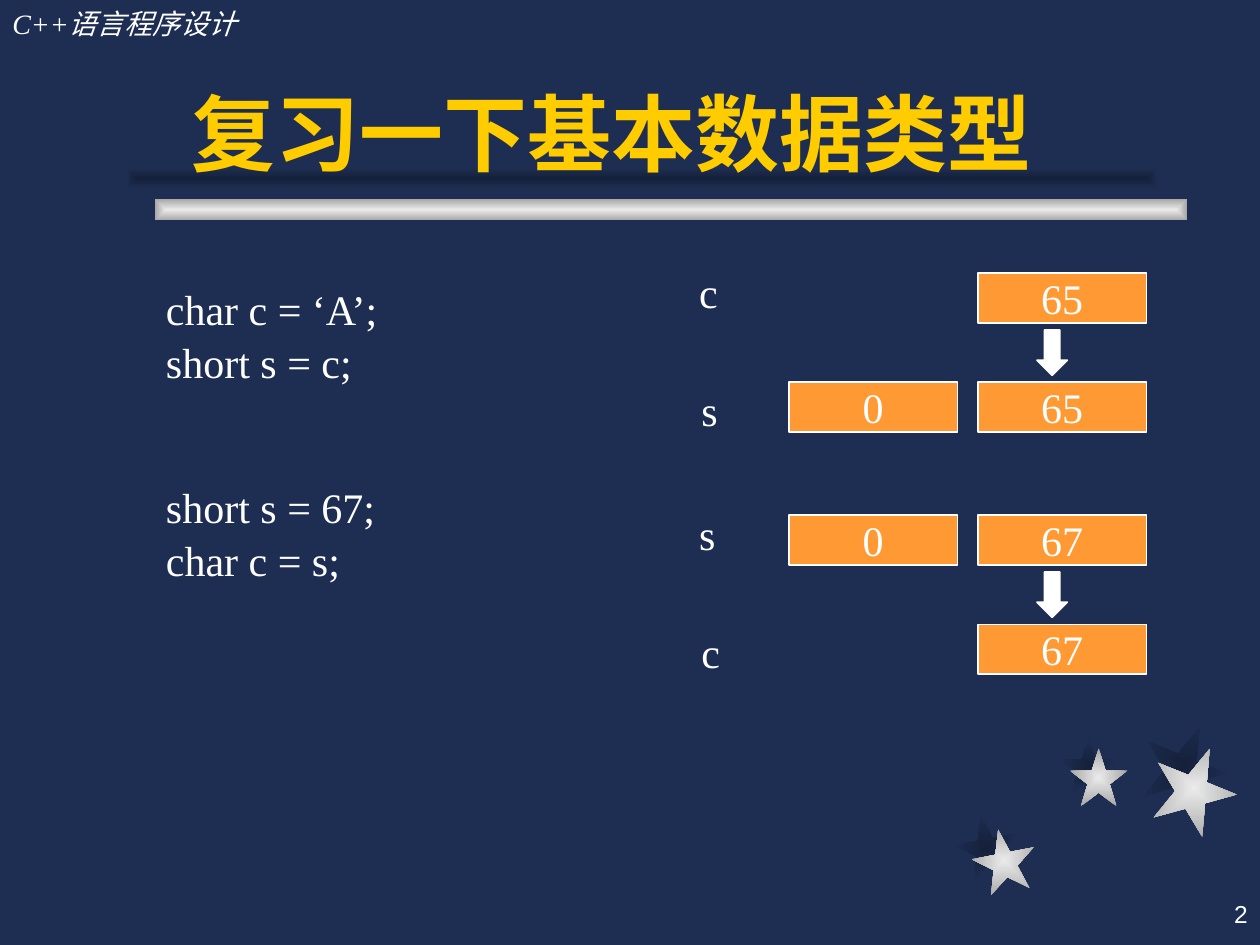
from dataclasses import dataclass

from pptx import Presentation
from pptx.dml.color import RGBColor
from pptx.enum import shapes, text
from pptx.oxml import parse_xml
from pptx.util import Pt

COLORS = {"background": "1E2E53", "shade": "15213B", "silver": "A7A7A7",
          "shine": "EAEAEA", "title": "FFCC00", "byte": "FF9933", "white": "FFFFFF"}
SERIF, SANS = "Times New Roman", "Arial"
BYTE_W, BYTE_H = 96.5, 28.2
HIGH_X, LOW_X = 450.7, 558.7
NS = "http://schemas.openxmlformats.org/drawingml/2006/main"
SHAPE = shapes.MSO_SHAPE


@dataclass
class Star:
    left: float
    top: float
    size: float
    turn: float
    shadow_left: float
    shadow_top: float


@dataclass
class Variable:
    name: str
    values: list[str]  # low byte last


@dataclass
class Example:
    top: float
    code_top: float
    code: list[str]
    source: Variable
    target: Variable


STARS = [Star(555.8, 473.8, 36, 349, 545.8, 465.8),
         Star(611.3, 427.7, 33.1, 0, 605.5, 421.2),
         Star(658.1, 426.2, 48.2, 22, 652.3, 414)]

EXAMPLES = [
    Example(156.2, 157, ["char c = ‘A’;", "short s = c;"],
            Variable("c", ["65"]), Variable("s", ["0", "65"])),
    Example(294.5, 270, ["short s = 67;", "char c = s;"],
            Variable("s", ["0", "67"]), Variable("c", ["67"])),
]


def rgb(name: str) -> RGBColor:
    return RGBColor.from_string(COLORS[name])


def add_run(paragraph, words: str, size: float, font: str = SERIF,
            color: str = "white", bold: bool = False, italic: bool = False) -> None:
    run = paragraph.add_run()
    run.text = words
    run.font.size, run.font.name = Pt(size), font
    run.font.bold, run.font.italic = bold, italic
    run.font.color.rgb = rgb(color)


def add_text(slide, left: float, top: float, width: float, height: float,
             lines: list[str], size: float = 24, spacing: float = 1.05, **style):
    frame = slide.shapes.add_textbox(Pt(left), Pt(top), Pt(width), Pt(height)).text_frame
    frame.word_wrap = True
    for number, line in enumerate(lines):
        paragraph = frame.add_paragraph() if number else frame.paragraphs[0]
        paragraph.line_spacing = spacing
        add_run(paragraph, line, size, **style)
    return frame


def add_gradient(slide, kind, left: float, top: float, width: float, height: float,
                 center: str, edge: str, turn: float = 0) -> None:
    """Add a lineless shape shaded from its center out to its edge."""
    shape = slide.shapes.add_shape(kind, Pt(left), Pt(top), Pt(width), Pt(height))
    shape.shadow.inherit = False
    shape.rotation = turn
    shape.line.fill.background()
    shape.fill.background()
    properties = shape._element.spPr
    properties.replace(properties.find(f"{{{NS}}}noFill"), parse_xml(
        f'<a:gradFill xmlns:a="{NS}" rotWithShape="1"><a:gsLst>'
        f'<a:gs pos="0"><a:srgbClr val="{COLORS[center]}"/></a:gs>'
        f'<a:gs pos="100000"><a:srgbClr val="{COLORS[edge]}"/></a:gs></a:gsLst>'
        '<a:path path="shape"><a:fillToRect l="50000" t="50000" r="50000" b="50000"/>'
        '</a:path></a:gradFill>'))


def add_solid(slide, kind, left: float, top: float, width: float, height: float, fill: str):
    shape = slide.shapes.add_shape(kind, Pt(left), Pt(top), Pt(width), Pt(height))
    shape.shadow.inherit = False
    shape.fill.solid()
    shape.fill.fore_color.rgb = rgb(fill)
    shape.line.color.rgb = rgb("white")
    shape.line.width = Pt(1)
    return shape


def add_variable(slide, variable: Variable, top: float, label_left: float,
                 label_top: float) -> None:
    add_text(slide, label_left, label_top, 28, 36, [variable.name])
    for left, value in zip((LOW_X, HIGH_X), reversed(variable.values)):
        byte = add_solid(slide, SHAPE.RECTANGLE, left, top, BYTE_W, BYTE_H, "byte")
        frame = byte.text_frame
        frame.vertical_anchor = text.MSO_ANCHOR.MIDDLE
        frame.paragraphs[0].alignment = text.PP_ALIGN.CENTER
        add_run(frame.paragraphs[0], value, 24)


def add_example(slide, example: Example) -> None:
    top = example.top
    add_text(slide, 87.8, example.code_top, 153.4, 65.5, example.code)
    add_variable(slide, example.source, top, 392.4, top - 9)
    add_variable(slide, example.target, top + 62.3, 393.8, top + 58.4)
    add_solid(slide, SHAPE.DOWN_ARROW, 592.6, top + 32.4, 17.3, 25.9, "white")


def add_decoration(slide) -> None:
    for star in STARS:
        add_gradient(slide, SHAPE.STAR_5_POINT, star.shadow_left, star.shadow_top,
                     star.size, star.size, "shade", "background", star.turn)
    for star in STARS:
        add_gradient(slide, SHAPE.STAR_5_POINT, star.left, star.top,
                     star.size, star.size, "shine", "silver", star.turn)
    add_gradient(slide, SHAPE.RECTANGLE, 88.6, 113.8, 589.7, 12.2, "shine", "silver")
    add_gradient(slide, SHAPE.RECTANGLE, 72, 95.8, 589.7, 12.2, "shade", "background")


def add_title(slide) -> None:
    title = slide.shapes.title
    title.left, title.top, title.width, title.height = Pt(102.2), Pt(18), Pt(563.8), Pt(90)
    frame = title.text_frame
    frame.auto_size = text.MSO_AUTO_SIZE.NONE
    frame.vertical_anchor = text.MSO_ANCHOR.BOTTOM
    frame.paragraphs[0].alignment = text.PP_ALIGN.LEFT
    add_run(frame.paragraphs[0], "复习一下基本数据类型", 48, SANS, "title", bold=True)
    # Bring the title in front of the shaded rule
    slide.shapes._spTree.append(title._element)


def main() -> None:
    deck = Presentation()
    deck.slide_width, deck.slide_height = Pt(720), Pt(540)
    slide = deck.slides.add_slide(deck.slide_layouts[5])
    slide.background.fill.solid()
    slide.background.fill.fore_color.rgb = rgb("background")

    # Stars, rule, course name and page number
    add_decoration(slide)
    add_text(slide, 0, 0, 221.8, 26.6, ["C++语言程序设计"], 16, 1, italic=True)
    page = add_text(slide, 570.2, 504, 149.8, 36, ["2"], 14, 1, font=SANS)
    page.vertical_anchor = text.MSO_ANCHOR.MIDDLE
    page.paragraphs[0].alignment = text.PP_ALIGN.RIGHT

    # Title and the two conversions
    add_title(slide)
    for example in EXAMPLES:
        add_example(slide, example)

    deck.save("out.pptx")


if __name__ == "__main__":
    main()
